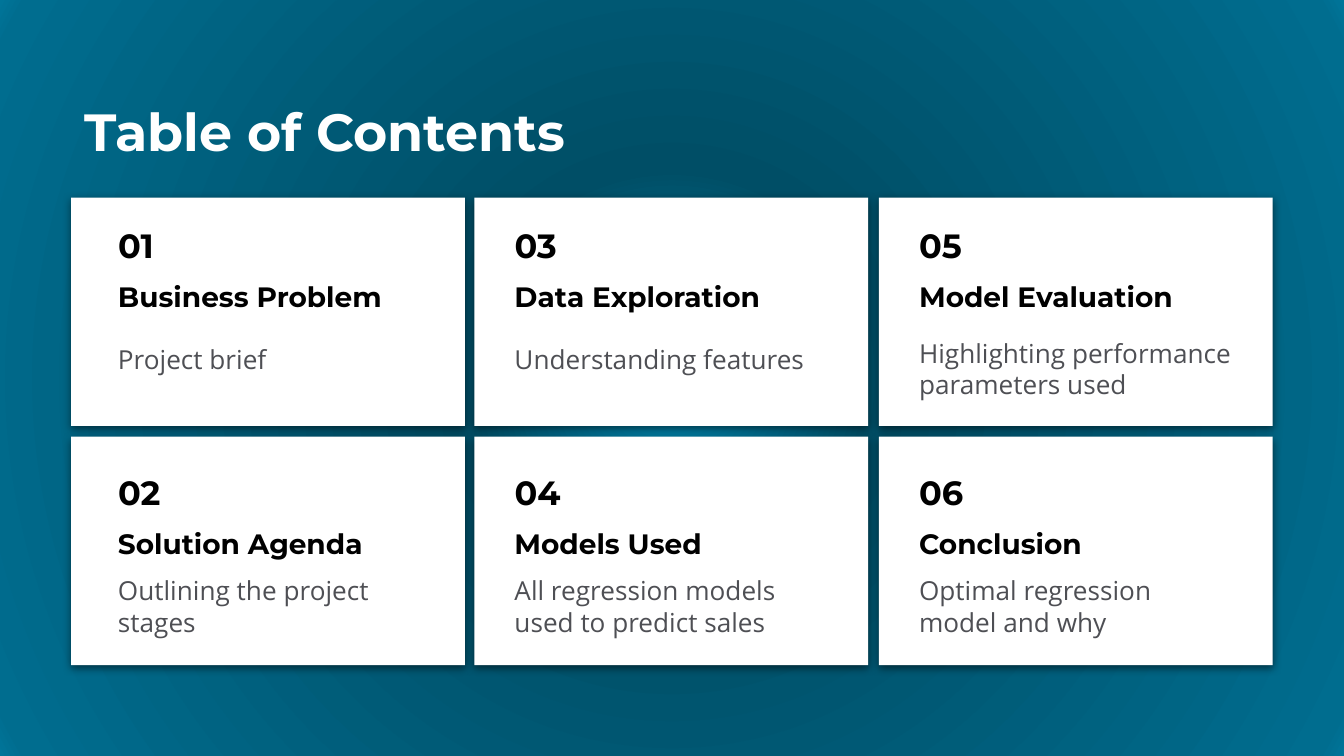
from lxml import etree
from pptx import Presentation
from pptx.dml.color import RGBColor
from pptx.enum.shapes import MSO_SHAPE as Shape
from pptx.enum.text import MSO_ANCHOR as Anchor, MSO_AUTO_SIZE as AutoSize, PP_ALIGN as Align
from pptx.oxml import parse_xml
from pptx.oxml.ns import nsdecls, qn
from pptx.util import Inches, Pt

COLORS = {"white": "FFFFFF", "heading": "000000", "body": "4E4F54", "shadow": "000000"}
BACKDROP = [(0, "008BB6"), (27, "004E66"), (97, "006D8F"), (100, "007599")]
HEADING, BODY = "Montserrat", "Open Sans"
CARD_W, CARD_H = 2.93, 1.7
COLUMNS = [(0.53, 0.25), (3.53, 0.2), (6.54, 0.2)]
ROWS = [(1.47, 0.12), (3.25, 0.18)]
SUMMARY_SIZE = (2.54, 0.48)
WIDE_SUMMARY_SIZE = (2.64, 0.62)
TOPICS = [
    ("Business Problem", "Project brief", SUMMARY_SIZE),
    ("Solution Agenda", "Outlining the project stages", SUMMARY_SIZE),
    ("Data Exploration", "Understanding features", SUMMARY_SIZE),
    ("Models Used", "All regression models used to predict sales", SUMMARY_SIZE),
    ("Model Evaluation", "Highlighting performance parameters used", WIDE_SUMMARY_SIZE),
    ("Conclusion", "Optimal regression model and why", SUMMARY_SIZE),
]


def paint_background(slide):
    """Fill the slide with a circular gradient spreading from its centre."""
    slide.background.fill.solid()
    solid = next(slide.element.iter(qn("a:solidFill")))
    stops = "".join(
        f'<a:gs pos="{pos * 1000}"><a:srgbClr val="{color}"/></a:gs>' for pos, color in BACKDROP
    )
    gradient = parse_xml(
        f'<a:gradFill {nsdecls("a")} rotWithShape="1"><a:gsLst>{stops}</a:gsLst>'
        '<a:path path="circle"><a:fillToRect l="50000" t="50000" r="50000" b="50000"/></a:path>'
        "</a:gradFill>"
    )
    solid.getparent().replace(solid, gradient)


def write(holder, text, size, font, color, bold=True, anchor=Anchor.MIDDLE):
    """Put one styled, left-aligned paragraph into a shape."""
    frame = holder.text_frame
    frame.text = text
    frame.word_wrap = True
    frame.auto_size = AutoSize.NONE
    frame.vertical_anchor = anchor
    frame.margin_left = frame.margin_right = Inches(0.1)
    frame.margin_top = frame.margin_bottom = Inches(0.1)
    paragraph = frame.paragraphs[0]
    paragraph.alignment = Align.LEFT
    face = paragraph.runs[0].font
    face.size, face.name, face.bold = Pt(size), font, bold
    face.color.rgb = RGBColor.from_string(COLORS[color])


def add_text(slide, box, *style, **options):
    """Add a text box at left, top, width, height in inches."""
    write(slide.shapes.add_textbox(*map(Inches, box)), *style, **options)


def add_title(slide, box):
    """Place the slide title in its placeholder."""
    title = slide.shapes.title
    title.left, title.top, title.width, title.height = map(Inches, box)
    write(title, "Table of Contents", 28, HEADING, "white", anchor=Anchor.TOP)


def add_panel(slide, box):
    """Add a white card with a soft shadow below it."""
    panel = slide.shapes.add_shape(Shape.ROUNDED_RECTANGLE, *map(Inches, box))
    panel.adjustments[0] = 0
    panel.fill.solid()
    panel.fill.fore_color.rgb = RGBColor.from_string(COLORS["white"])
    panel.line.fill.background()
    panel.shadow.inherit = False
    effects = panel.element.spPr.find(qn("a:effectLst"))
    shadow = etree.SubElement(
        effects, qn("a:outerShdw"), blurRad=str(Pt(4.5)), dist=str(Pt(1.5)),
        dir="5400000", algn="bl", rotWithShape="0",
    )
    color = etree.SubElement(shadow, qn("a:srgbClr"), val=COLORS["shadow"])
    etree.SubElement(color, qn("a:alpha"), val="50000")


def add_card(slide, box, indent, drop, number, heading, summary, summary_size):
    """Add a card with its number, heading and summary."""
    left, top = box[0] + indent, box[1] + drop
    add_panel(slide, box)
    add_text(slide, (left, top, 0.85, 0.48), number, 18, HEADING, "heading", anchor=Anchor.BOTTOM)
    add_text(slide, (left, top + 0.48, 2.54, 0.27), heading, 15, HEADING, "heading")
    add_text(slide, (left, top + 0.84, *summary_size), summary, 14, BODY, "body", bold=False)


def add_contents(slide):
    """Lay the topics out in cards, column by column."""
    for index, topic in enumerate(TOPICS):
        column, row = divmod(index, len(ROWS))
        left, indent = COLUMNS[column]
        top, drop = ROWS[row]
        add_card(slide, (left, top, CARD_W, CARD_H), indent, drop, f"{index + 1:02}", *topic)


def main():
    """Build and save the contents slide."""
    deck = Presentation()
    deck.slide_width = Inches(10)
    deck.slide_height = deck.slide_width * 9 // 16
    slide = deck.slides.add_slide(deck.slide_layouts[5])
    paint_background(slide)
    add_title(slide, (0.53, 0.64, 8.44, 0.63))
    add_contents(slide)
    deck.save("out.pptx")


if __name__ == "__main__":
    main()
